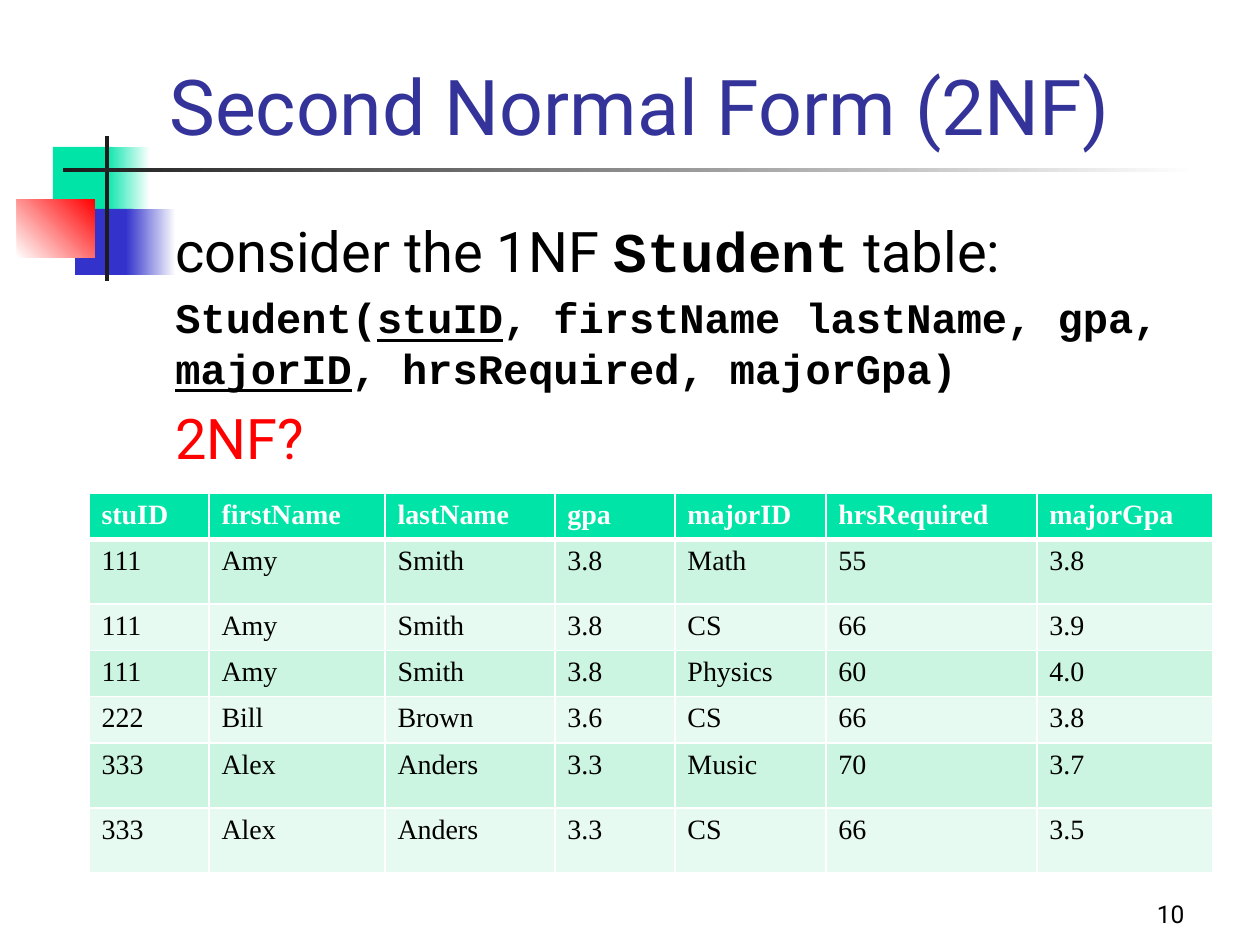
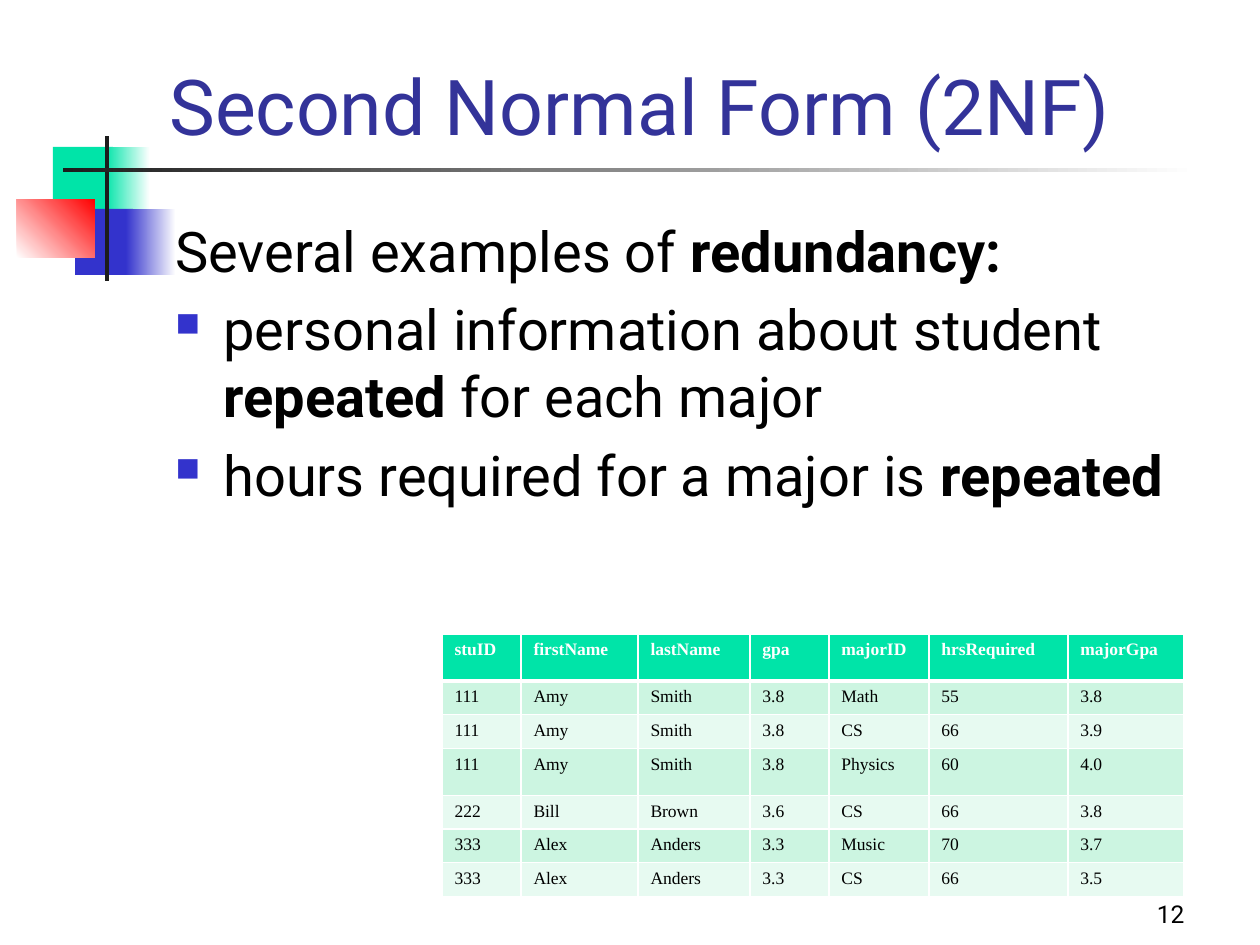
from dataclasses import dataclass
from typing import NamedTuple, Optional

from lxml.etree import SubElement
from pptx import Presentation
from pptx.dml.color import RGBColor
from pptx.enum.shapes import MSO_SHAPE as Preset
from pptx.enum.text import MSO_ANCHOR as Anchor, PP_ALIGN as Align
from pptx.oxml.ns import qn
from pptx.util import Emu, Pt

PIXELS_PER_INCH = 126
EMU_PER_PIXEL = 914400 / PIXELS_PER_INCH

GREEN = RGBColor(0x00, 0xE4, 0xA8)
BLUE = RGBColor(0x33, 0x33, 0xCC)
TITLE_BLUE = RGBColor(0x33, 0x33, 0x99)
RED = RGBColor(0xFF, 0x00, 0x00)
INK = RGBColor(0x1C, 0x1C, 0x1C)
BLACK = RGBColor(0x00, 0x00, 0x00)
WHITE = RGBColor(0xFF, 0xFF, 0xFF)
BAND_DARK = RGBColor(0xCC, 0xF5, 0xE1)
BAND_LIGHT = RGBColor(0xE7, 0xFA, 0xF1)

SANS = "Roboto"
MONO = "Courier New"
SERIF = "Times New Roman"
BULLET_INDENT = 48


class Area(NamedTuple):
    """A rectangle in pixels."""
    left: int
    top: int
    width: int
    height: int


class Block(NamedTuple):
    """A rectangle of the corner ornament, plain or fading to a second colour."""
    area: Area
    color: RGBColor
    fade_to: Optional[RGBColor] = None
    angle: int = 0


@dataclass(frozen=True)
class Span:
    """A piece of text with one look."""
    text: str
    size: int = 32
    font: str = SANS
    color: RGBColor = BLACK
    bold: bool = False
    underline: bool = False


@dataclass(frozen=True)
class Para:
    """A paragraph made of spans."""
    spans: list[Span]
    bullet: bool = False
    align: Align = Align.LEFT


@dataclass(frozen=True)
class Grid:
    """Place, column widths, row heights and text size of a student table."""
    left: int
    top: int
    columns: list[int]
    rows: list[int]
    size: int


@dataclass(frozen=True)
class Page:
    """The parts in which the slides differ."""
    number: int
    body: Area
    paras: list[Para]
    grid: Grid


ORNAMENT = [
    Block(Area(53, 147, 60, 66), GREEN),
    Block(Area(105, 147, 45, 66), GREEN, WHITE),
    Block(Area(75, 209, 58, 66), BLUE),
    Block(Area(126, 209, 50, 66), BLUE, WHITE),
    Block(Area(17, 199, 78, 59), WHITE, RED, 45),
    Block(Area(105, 136, 4, 145), INK),
    Block(Area(63, 168, 1134, 4), INK, WHITE),
]
TITLE_AREA = Area(157, 0, 1074, 157)
NUMBER_AREA = Area(935, 872, 262, 63)

HEADER = ["stuID", "firstName", "lastName", "gpa", "majorID", "hrsRequired", "majorGpa"]
AMY = ["111", "Amy", "Smith", "3.8"]
BILL = ["222", "Bill", "Brown", "3.6"]
ALEX = ["333", "Alex", "Anders", "3.3"]
STUDENTS = [
    HEADER,
    AMY + ["Math", "55", "3.8"],
    AMY + ["CS", "66", "3.9"],
    AMY + ["Physics", "60", "4.0"],
    BILL + ["CS", "66", "3.8"],
    ALEX + ["Music", "70", "3.7"],
    ALEX + ["CS", "66", "3.5"],
]


def px(length: int) -> Emu:
    """Turn pixels into EMU."""
    return Emu(round(length * EMU_PER_PIXEL))


def place(area: Area) -> list[Emu]:
    """Turn an area into left, top, width and height in EMU."""
    return [px(length) for length in area]


def code(text: str, underline: bool = False) -> Span:
    """Make a span of the schema line."""
    return Span(text, 24, MONO, bold=True, underline=underline)


def strong(text: str) -> Span:
    """Make a bold body span."""
    return Span(text, bold=True)


def add_block(slide, block: Block) -> None:
    """Draw one rectangle of the ornament."""
    shape = slide.shapes.add_shape(Preset.RECTANGLE, *place(block.area))
    shape.shadow.inherit = False
    shape.line.fill.background()
    if block.fade_to is None:
        shape.fill.solid()
        shape.fill.fore_color.rgb = block.color
        return
    shape.fill.gradient()
    shape.fill.gradient_angle = block.angle
    for stop, color in zip(shape.fill.gradient_stops, (block.color, block.fade_to)):
        stop.color.rgb = color


def add_span(paragraph, span: Span) -> None:
    """Add one run to a paragraph."""
    run = paragraph.add_run()
    run.text = span.text
    run.font.size = Pt(span.size)
    run.font.name = span.font
    run.font.bold = span.bold
    run.font.underline = span.underline
    run.font.color.rgb = span.color


def add_bullet(paragraph) -> None:
    """Give a paragraph a small blue square and a hanging indent."""
    props = paragraph._p.get_or_add_pPr()
    props.set("marL", str(px(BULLET_INDENT)))
    props.set("indent", str(-px(BULLET_INDENT)))
    color = SubElement(props, qn("a:buClr"))
    SubElement(color, qn("a:srgbClr"), val=str(BLUE))
    SubElement(props, qn("a:buSzPct"), val="60000")
    SubElement(props, qn("a:buChar"), char="■")


def add_text(slide, area: Area, paras: list[Para], anchor: Anchor = Anchor.TOP) -> None:
    """Add a wrapping text box, each paragraph set off by a fifth of its size."""
    frame = slide.shapes.add_textbox(*place(area)).text_frame
    frame.word_wrap = True
    frame.vertical_anchor = anchor
    for index, para in enumerate(paras):
        paragraph = frame.add_paragraph() if index else frame.paragraphs[0]
        paragraph.alignment = para.align
        if index:
            paragraph.space_before = Pt(para.spans[0].size * 0.2)
        if para.bullet:
            add_bullet(paragraph)
        for span in para.spans:
            add_span(paragraph, span)


def add_borders(cell, top: int, bottom: int) -> None:
    """Draw white cell borders, with the top and bottom widths in points."""
    props = cell._tc.get_or_add_tcPr()
    for side, width in (("L", 1), ("R", 1), ("T", top), ("B", bottom)):
        line = SubElement(props, qn(f"a:ln{side}"), w=str(Pt(width)))
        fill = SubElement(line, qn("a:solidFill"))
        SubElement(fill, qn("a:srgbClr"), val=str(WHITE))


def add_students(slide, grid: Grid) -> None:
    """Add the student table with its header and banded rows."""
    area = Area(grid.left, grid.top, sum(grid.columns), sum(grid.rows))
    table = slide.shapes.add_table(len(STUDENTS), len(HEADER), *place(area)).table
    for column, width in zip(table.columns, grid.columns):
        column.width = px(width)
    for row, height in zip(table.rows, grid.rows):
        row.height = px(height)
    for row_index, values in enumerate(STUDENTS):
        is_header = row_index == 0
        band = GREEN if is_header else BAND_DARK if row_index % 2 else BAND_LIGHT
        for column_index, value in enumerate(values):
            cell = table.cell(row_index, column_index)
            add_borders(cell, 3 if row_index == 1 else 1, 3 if is_header else 1)
            cell.fill.solid()
            cell.fill.fore_color.rgb = band
            color = WHITE if is_header else BLACK
            add_span(cell.text_frame.paragraphs[0],
                     Span(value, grid.size, SERIF, color, bold=is_header))


def add_page(deck, page: Page) -> None:
    """Build one slide: ornament, title, body, number and table."""
    slide = deck.slides.add_slide(deck.slide_layouts[6])
    for block in ORNAMENT:
        add_block(slide, block)
    title = Span("Second Normal Form (2NF)", 44, color=TITLE_BLUE)
    add_text(slide, TITLE_AREA, [Para([title])], Anchor.BOTTOM)
    add_text(slide, page.body, page.paras)
    number = Para([Span(str(page.number), 14)], align=Align.RIGHT)
    add_text(slide, NUMBER_AREA, [number], Anchor.BOTTOM)
    add_students(slide, page.grid)


PAGES = [
    Page(
        number=10,
        body=Area(163, 210, 1071, 635),
        paras=[
            Para([Span("consider the 1NF "), Span("Student", font=MONO, bold=True),
                  Span(" table:")]),
            Para([code("Student("), code("stuID", True),
                  code(", firstName lastName, gpa, "), code("majorID", True),
                  code(", hrsRequired, majorGpa)")]),
            Para([Span("2NF?", color=RED)]),
        ],
        grid=Grid(89, 493, [120, 176, 170, 120, 151, 211, 176],
                  [42, 65, 42, 42, 42, 65, 65], 16),
    ),
    Page(
        number=12,
        body=Area(163, 210, 1071, 343),
        paras=[
            Para([Span("Several examples of "), strong("redundancy:")]),
            Para([Span("personal information about student "), strong("repeated"),
                  Span(" for each major")], bullet=True),
            Para([Span("hours required for a major is "), strong("repeated")], bullet=True),
        ],
        grid=Grid(442, 634, [79, 117, 112, 79, 100, 139, 116],
                  [47, 26, 26, 47, 26, 26, 26], 10),
    ),
]


def main() -> None:
    """Build the deck and save it."""
    deck = Presentation()
    deck.slide_width = px(1260)
    deck.slide_height = px(945)
    for page in PAGES:
        add_page(deck, page)
    deck.save("out.pptx")


main()
